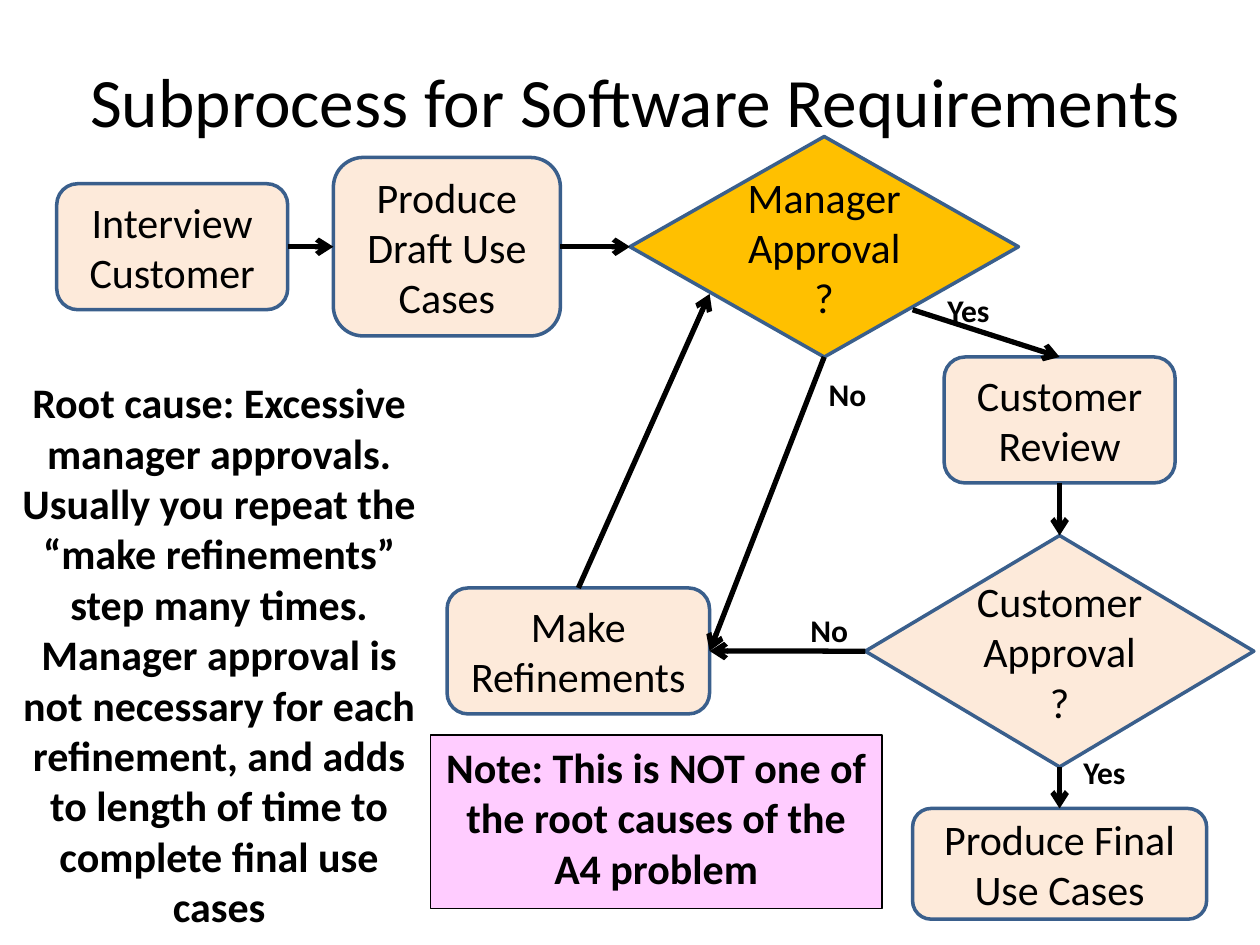
from dataclasses import dataclass

import pptx
import pptx.dml.color
import pptx.enum.shapes
import pptx.enum.text
import pptx.oxml
import pptx.oxml.ns
import pptx.util

Pt = pptx.util.Pt
Shape = pptx.enum.shapes.MSO_SHAPE
Align = pptx.enum.text.PP_ALIGN
Anchor = pptx.enum.text.MSO_ANCHOR

FONT = "Calibri"
BLACK, PEACH, AMBER, PINK, BLUE = "000000", "FDEADA", "FFC000", "FFCCFF", "3A5F8C"
TOP, LEFT, BOTTOM, RIGHT = range(4)  # connection sites of boxes and diamonds


@dataclass(frozen=True)
class Step:
    text: str
    box: tuple[float, float, float, float]
    kind: Shape = Shape.ROUNDED_RECTANGLE
    fill: str = PEACH


@dataclass(frozen=True)
class End:
    """End of an arrow: a site of a step, or a free point."""
    step: str = ""
    site: int = TOP
    point: tuple[float, float] = (0, 0)


@dataclass(frozen=True)
class Label:
    text: str
    left: float
    top: float


STEPS = {
    "interview": Step("Interview Customer", (32.4, 105, 132, 72)),
    "draft": Step("Produce Draft Use Cases", (190.5, 90, 129.75, 102)),
    "manager": Step("Manager Approval?", (360, 78, 222, 126),
                    Shape.FLOWCHART_DECISION, AMBER),
    "final": Step("Produce Final Use Cases", (521.5, 462, 168, 63.25)),
    "approval": Step("Customer\vApproval?", (494.5, 306, 222, 132.25), Shape.DIAMOND),
    "review": Step("Customer\nReview", (539.5, 204, 132, 72)),
    "refine": Step("Make Refinements", (255.5, 336, 150, 72)),
}

ARROWS = [
    (End("interview", RIGHT), End("draft", LEFT)),
    (End("manager", BOTTOM), End("refine", RIGHT)),
    (End("approval", BOTTOM), End("final", TOP)),
    (End("review", BOTTOM), End("approval", TOP)),
    (End(point=(521.5, 177)), End("review", TOP)),
    (End("draft", RIGHT), End("manager", LEFT)),
    (End("refine", TOP), End(point=(405.5, 168))),
    (End("approval", LEFT), End("refine", RIGHT)),
]

LABELS = [
    Label("No", 456, 345.6),
    Label("No", 466.5, 211),
    Label("Yes", 534.25, 162.7),
    Label("Yes", 612, 427),
]

ROOT_CAUSE = (
    "Root cause: Excessive manager approvals. Usually you repeat the "
    "“make refinements” step many times. Manager approval is not necessary "
    "for each refinement, and adds to length of time to complete final use cases"
)


def rgb(value: str) -> pptx.dml.color.RGBColor:
    return pptx.dml.color.RGBColor.from_string(value)


def write(shape, text: str, size: float, bold: bool = False,
          align: Align = Align.CENTER, anchor: Anchor = Anchor.TOP) -> None:
    frame = shape.text_frame
    frame.word_wrap = True
    frame.vertical_anchor = anchor
    frame.text = text
    for paragraph in frame.paragraphs:
        paragraph.alignment = align
        for run in paragraph.runs:
            run.font.name = FONT
            run.font.size = Pt(size)
            run.font.bold = bold
            run.font.color.rgb = rgb(BLACK)


def add_text(slide, box: tuple, text: str, size: float, **style) -> None:
    write(slide.shapes.add_textbox(*map(Pt, box)), text, size, **style)


def add_box(slide, kind: Shape, box: tuple, fill: str, line: str, width: float):
    shape = slide.shapes.add_shape(kind, *map(Pt, box))
    shape.shadow.inherit = False
    shape.fill.solid()
    shape.fill.fore_color.rgb = rgb(fill)
    shape.line.color.rgb = rgb(line)
    shape.line.width = Pt(width)
    return shape


def add_arrow(slide, start: End, end: End, steps: dict) -> None:
    arrow = slide.shapes.add_connector(
        pptx.enum.shapes.MSO_CONNECTOR.STRAIGHT,
        *map(Pt, start.point + end.point))
    if start.step:
        arrow.begin_connect(steps[start.step], start.site)
    if end.step:
        arrow.end_connect(steps[end.step], end.site)
    arrow.line.color.rgb = rgb(BLACK)
    arrow.line.width = Pt(3)
    head = pptx.oxml.parse_xml(
        f'<a:tailEnd {pptx.oxml.ns.nsdecls("a")} type="arrow"/>')
    arrow.line._get_or_add_ln().append(head)
    arrow._element.spPr.append(
        pptx.oxml.parse_xml(f'<a:effectLst {pptx.oxml.ns.nsdecls("a")}/>'))


def main() -> None:
    deck = pptx.Presentation()
    deck.slide_width, deck.slide_height = Pt(720), Pt(540)
    slide = deck.slides.add_slide(deck.slide_layouts[6])

    add_text(slide, (39, 12, 648, 90), "Subprocess for Software Requirements",
             39.6, anchor=Anchor.MIDDLE)

    steps = {}
    for name, step in STEPS.items():
        steps[name] = add_box(slide, step.kind, step.box, step.fill, BLUE, 2)
        write(steps[name], step.text, 24, anchor=Anchor.MIDDLE)
    for start, end in ARROWS:
        add_arrow(slide, start, end, steps)

    add_text(slide, (5, 211.7, 240.5, 327), ROOT_CAUSE, 24, bold=True)
    for label in LABELS:
        add_text(slide, (label.left, label.top, 39, 29), label.text, 18,
                 bold=True, align=Align.LEFT)

    note = add_box(slide, Shape.RECTANGLE, (246, 420, 258, 99), PINK, BLACK, 0.75)
    write(note, "Note: This is NOT one of the root causes of the A4 problem",
          24, bold=True)
    note.text_frame.paragraphs[0].space_before = Pt(4.8)

    deck.save("out.pptx")


if __name__ == "__main__":
    main()
